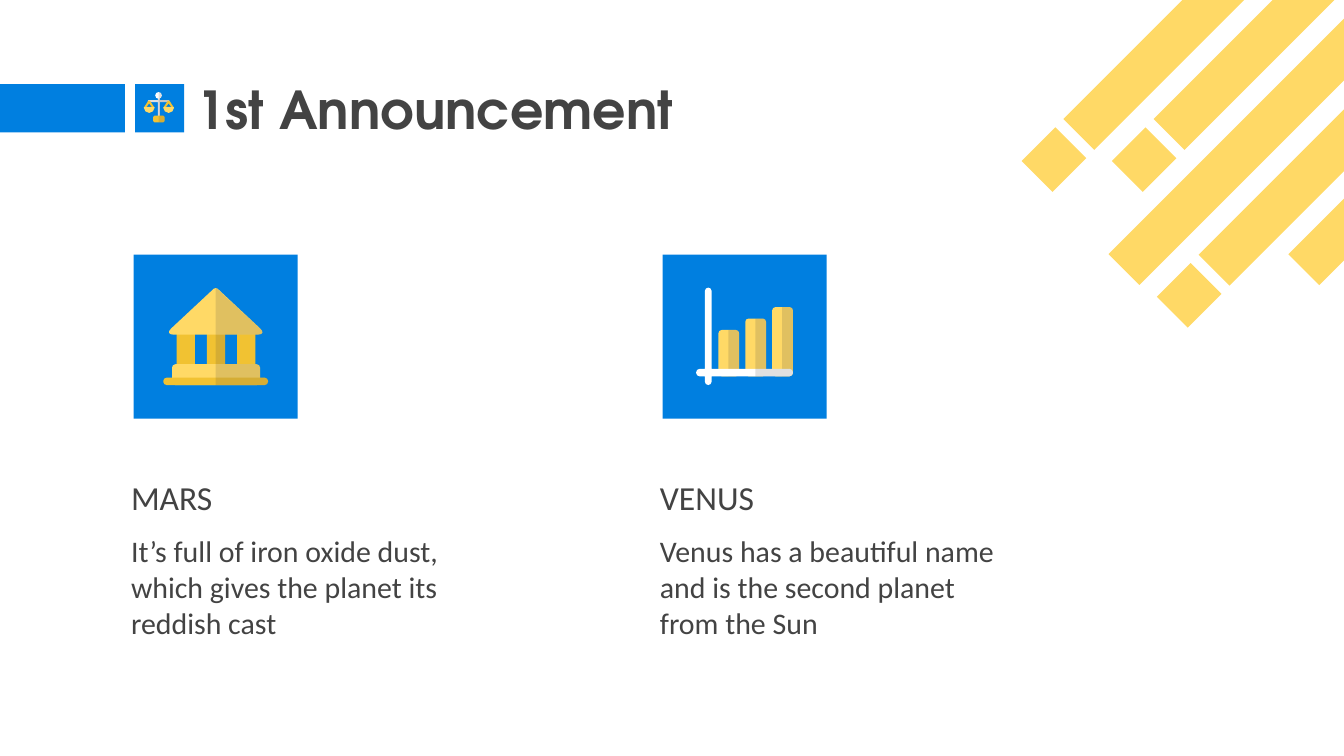
import math
from typing import NamedTuple

import lxml.etree
import pptx
import pptx.dml.color
import pptx.enum.shapes
import pptx.enum.text
import pptx.oxml.ns
import pptx.util

PX = 9144  # EMU per px, 100 px to the inch
BLUE, YELLOW, GOLD = "007FE0", "FFD966", "F1C232"
GREY, WHITE, DARK = "E0E0E0", "FFFFFF", "434343"
ANCHOR = pptx.enum.text.MSO_ANCHOR
qn = pptx.oxml.ns.qn


class Corner(NamedTuple):
    x: int
    y: int
    r: int = 0  # length cut from each side by the rounding


class Part(NamedTuple):
    corners: list[Corner]
    color: str
    opacity: int = 100


class Stripe(NamedTuple):
    x: int
    y: int
    length: int


class Card(NamedTuple):
    x: int
    heading: str
    body: str
    icon: list[Part]


def rgb(color: str) -> pptx.dml.color.RGBColor:
    return pptx.dml.color.RGBColor.from_string(color)


def box(x: int, y: int, w: int, h: int, r: int) -> list[Corner]:
    return [Corner(x, y, r), Corner(x + w, y, r),
            Corner(x + w, y + h, r), Corner(x, y + h, r)]


def cross(xs: list[int], ys: list[int], r: int) -> list[Corner]:
    """Cross whose arms run between the four x and the four y values."""
    a, b, c, d = xs
    e, f, g, h = ys
    return [Corner(b, e, r), Corner(c, e, r), Corner(c, f), Corner(d, f, r),
            Corner(d, g, r), Corner(c, g), Corner(c, h, r), Corner(b, h, r),
            Corner(b, g), Corner(a, g, r), Corner(a, f, r), Corner(b, f)]


def shade(corners: list[Corner]) -> Part:
    return Part(corners, DARK, 16)


def right_half(x: int, y: int, w: int, h: int, r: int) -> Part:
    """Shade over the right half of a box."""
    _, top, bottom, _ = box(x, y, w, h, r)
    mid = x + w // 2
    return shade([Corner(mid, y), top, bottom, Corner(mid, y + h)])


def shaded(x: int, y: int, w: int, h: int, r: int, color: str) -> list[Part]:
    return [Part(box(x, y, w, h, r), color), right_half(x, y, w, h, r)]


def curve_points(before: Corner, c: Corner, after: Corner) -> list[tuple[int, int]]:
    """Start, two handles and end of a rounded corner, or the corner itself, in EMU."""
    if not c.r:
        return [(c.x * PX, c.y * PX)]
    points = []
    for n, share in ((before, 1), (before, 0.45), (after, 0.45), (after, 1)):
        cut = share * c.r / math.dist(c[:2], n[:2])
        points.append((round((c.x + (n.x - c.x) * cut) * PX),
                       round((c.y + (n.y - c.y) * cut) * PX)))
    return points


def paint(sp, color: str, opacity: int = 100) -> None:
    sp.shadow.inherit = False
    sp.fill.solid()
    sp.fill.fore_color.rgb = rgb(color)
    sp.line.fill.background()
    if opacity < 100:
        clr = next(sp._element.iter(qn("a:srgbClr")))
        lxml.etree.SubElement(clr, qn("a:alpha")).set("val", str(opacity * 1000))


def draw_rect(shapes, x: int, y: int, w: int, h: int, color: str, angle: int = 0) -> None:
    kind = pptx.enum.shapes.MSO_SHAPE.RECTANGLE
    sp = shapes.add_shape(kind, x * PX, y * PX, w * PX, h * PX)
    sp.rotation = angle
    paint(sp, color)


def draw_part(shapes, part: Part) -> None:
    cs = part.corners
    curves = [curve_points(cs[i - 1], c, cs[(i + 1) % len(cs)]) for i, c in enumerate(cs)]
    first, *rest = sum(curves, [])
    fb = shapes.build_freeform(*first)
    fb.add_line_segments(rest, close=True)
    sp = fb.convert_to_shape()
    # Join the handles and end of each rounded corner into one curve
    segments = list(next(sp._element.iter(qn("a:moveTo"))).getparent())
    start = 0
    for points in curves:
        if len(points) == 4:
            lines = segments[start + 1:start + 4]
            bezier = lxml.etree.Element(qn("a:cubicBezTo"))
            lines[0].addprevious(bezier)
            for line in lines:
                bezier.append(line[0])
                line.getparent().remove(line)
        start += len(points)
    paint(sp, part.color, part.opacity)


def draw_icon(shapes, parts: list[Part]) -> None:
    group = shapes.add_group_shape()
    for part in parts:
        draw_part(group.shapes, part)


def set_text(sp, text: str, size: int, font: str, anchor, bold: bool = False) -> None:
    tf = sp.text_frame
    tf.text = text
    tf.word_wrap = True
    tf.auto_size = pptx.enum.text.MSO_AUTO_SIZE.NONE
    tf.vertical_anchor = anchor
    tf.margin_left = tf.margin_right = tf.margin_top = tf.margin_bottom = 20 * PX
    p = tf.paragraphs[0]
    p.alignment = pptx.enum.text.PP_ALIGN.LEFT
    r = p.runs[0]
    r.font.size, r.font.name, r.font.bold = pptx.util.Pt(size), font, bold
    r.font.color.rgb = rgb(DARK)


def draw_text(shapes, x: int, y: int, w: int, h: int, text: str, size: int, anchor) -> None:
    sp = shapes.add_textbox(x * PX, y * PX, w * PX, h * PX)
    set_text(sp, text, size, "Calibri", anchor)


def draw_card(shapes, card: Card) -> None:
    draw_rect(shapes, card.x + 24, 379, 244, 244, BLUE)
    draw_icon(shapes, card.icon)
    draw_text(shapes, card.x, 679, 533, 111, card.heading, 36, ANCHOR.BOTTOM)
    draw_text(shapes, card.x, 773, 548, 227, card.body, 32, ANCHOR.TOP)


STRIPES = [Stripe(1533, 205, 71), Stripe(1517, -46, 604),
           Stripe(1667, 205, 71), Stripe(1651, -46, 604),
           Stripe(1584, 155, 604), Stripe(1901, 274, 268),
           Stripe(1718, 156, 604), Stripe(1734, 407, 71)]

# Balance: post and beam, knob, foot, then a hanger and a pan on each side
BALANCE = [Part(cross([220, 235, 238, 252], [144, 149, 152, 175], 1), GREY),
           shade([Corner(236, 144), Corner(238, 144, 1), Corner(238, 149),
                  Corner(252, 149, 1), Corner(252, 152, 1), Corner(238, 152),
                  Corner(238, 175, 1), Corner(236, 175)]),
           *shaded(231, 137, 10, 10, 5, WHITE),
           *shaded(228, 172, 17, 10, 2, GOLD)]
for x in (222, 251):
    BALANCE += [Part([Corner(x, 148, 2), Corner(x + 9, 162, 2), Corner(x + 6, 162, 1),
                      Corner(x, 154), Corner(x - 6, 162, 1), Corner(x - 9, 162, 2)], GOLD),
                Part([Corner(x - 8, 159, 1), Corner(x + 8, 159, 1),
                      Corner(x + 8, 168, 8), Corner(x - 8, 168, 8)], YELLOW)]

# Bank: columns, roof, base and step
APEX, EAVE = Corner(321, 427, 4), Corner(397, 498, 13)
BANK = [Part(box(x, 487, 27, 66, 5), GOLD) for x in (353, 308, 263)]
BANK += [right_half(308, 487, 27, 66, 5),
         Part([APEX, EAVE, Corner(245, 498, 13)], YELLOW),
         *shaded(256, 542, 131, 31, 5, YELLOW),
         Part(box(243, 562, 156, 11, 5), GOLD),
         shade([Corner(321, 428), EAVE, Corner(321, 498)]),
         right_half(243, 562, 156, 11, 5)]

# Bar chart: three bars, then the axes
BARS = []
for i, top in enumerate((491, 474, 457)):
    BARS += shaded(1069 + 40 * i, top, 31, 560 - top, 5, YELLOW)
BARS += [Part(cross([1036, 1049, 1059, 1180], [428, 549, 560, 573], 5), WHITE),
         right_half(1069, 549, 111, 11, 5)]

CARDS = [Card(175, "MARS",
              "It’s full of iron oxide dust, which gives the planet its reddish cast", BANK),
         Card(962, "VENUS",
              "Venus has a beautiful name and is the second planet from the Sun", BARS)]


def main() -> None:
    prs = pptx.Presentation()
    prs.slide_width, prs.slide_height = 2000 * PX, 1125 * PX
    s = prs.slides.add_slide(prs.slide_layouts[5])
    for stripe in STRIPES:
        draw_rect(s.shapes, stripe.x, stripe.y, stripe.length, 65, YELLOW, 135)
    # Title row
    for x, w in ((0, 186), (201, 73)):
        draw_rect(s.shapes, x, 125, w, 72, BLUE)
    draw_icon(s.shapes, BALANCE)
    title = s.shapes.title
    title.left, title.top, title.width, title.height = 272 * PX, 114 * PX, 1356 * PX, 94 * PX
    set_text(title, "1st Announcement", 56, "TeX Gyre Adventor", ANCHOR.MIDDLE, True)
    for card in CARDS:
        draw_card(s.shapes, card)
    prs.save("out.pptx")


if __name__ == "__main__":
    main()
